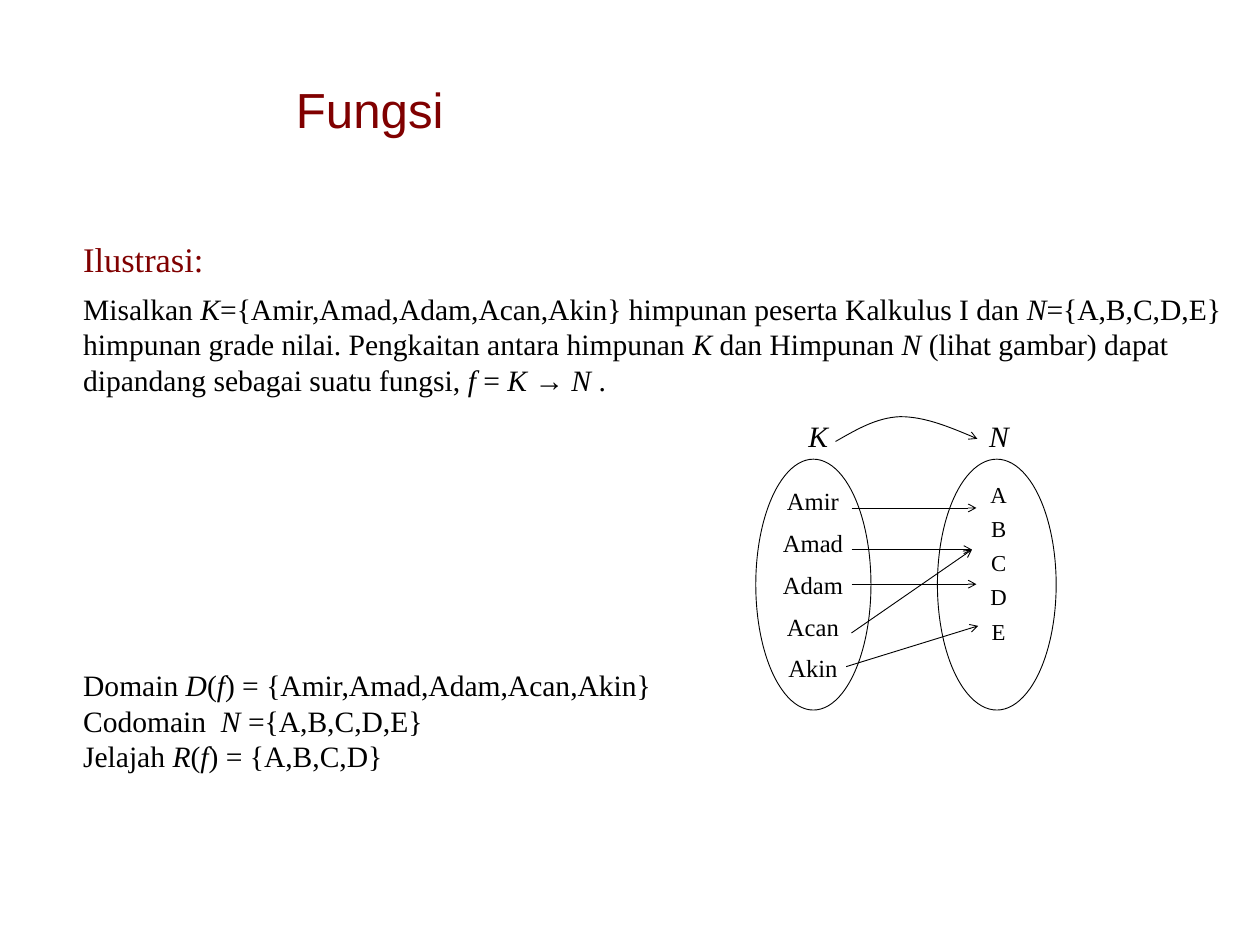
"""Build the slide "Fungsi": a function drawn as a mapping between two sets."""
from lxml.etree import SubElement
from pptx import Presentation
from pptx.dml.color import RGBColor
from pptx.enum.shapes import MSO_CONNECTOR as Connector, MSO_SHAPE as Shape
from pptx.enum.text import MSO_ANCHOR as Anchor, PP_ALIGN as Align
from pptx.oxml.ns import qn
from pptx.util import Inches, Pt

BLACK = RGBColor(0x00, 0x00, 0x00)
WHITE = RGBColor(0xFF, 0xFF, 0xFF)
MAROON = RGBColor(0x80, 0x00, 0x00)
SERIF = "Times New Roman"

# Text between asterisks is italic.
TITLE = "Fungsi"
HEADING = "Ilustrasi:"
PREMISE = (
    "Misalkan *K*={Amir,Amad,Adam,Acan,Akin} himpunan peserta Kalkulus I dan "
    "*N*={A,B,C,D,E} himpunan grade nilai. Pengkaitan antara himpunan *K* dan "
    "Himpunan *N* (lihat gambar) dapat dipandang sebagai suatu fungsi, "
    "*f* = *K* → *N* ."
)
RESULTS = [
    "Domain *D*(*f*) = {Amir,Amad,Adam,Acan,Akin}",
    "Codomain  *N *={A,B,C,D,E}",
    "Jelajah *R*(*f*) = {A,B,C,D}",
]
STUDENTS = ["Amir", "Amad", "Adam", "Acan", "Akin"]
GRADES = ["A", "B", "C", "D", "E"]
SET_OVALS = [(8.53, 5.18, 1.3, 2.83), (10.58, 5.18, 1.34, 2.83)]
SET_NAMES = [("*K*", 9.0), ("*N*", 11.04)]
MAPPINGS = [
    ((9.61, 5.73), (11.02, 5.73)),
    ((9.61, 6.2), (10.97, 6.2)),
    ((9.61, 6.59), (11.02, 6.59)),
    ((9.61, 7.14), (10.97, 6.2)),
    ((9.55, 7.52), (11.04, 7.06)),
]
ARC_START = (9.43, 4.98)
ARC_CONTROLS = [
    (9.66, 4.85), (9.89, 4.71), (10.16, 4.7),
    (10.42, 4.7), (10.73, 4.82), (11.03, 4.95),
]


def add_text(page, area, lines, size, font=SERIF, color=BLACK, align=Align.LEFT,
             inset=(0.1, 0.05), after=0, spacing=None, anchor=Anchor.TOP):
    box = page.shapes.add_textbox(*map(Inches, area))
    frame = box.text_frame
    frame.word_wrap = True
    frame.vertical_anchor = anchor
    frame.margin_left = frame.margin_right = Inches(inset[0])
    frame.margin_top = frame.margin_bottom = Inches(inset[1])
    for index, line in enumerate(lines):
        para = frame.add_paragraph() if index else frame.paragraphs[0]
        para.alignment = align
        para.space_after = Pt(after)
        para.line_spacing = spacing
        para.font.name = font
        para.font.size = Pt(size)
        para.font.color.rgb = color
        for part, words in enumerate(line.split("*")):
            if words:
                span = para.add_run()
                span.text = words
                if part % 2:
                    span.font.italic = True
    return frame


def style_line(shape, arrow=True):
    shape.line.color.rgb = BLACK
    shape.line.width = Pt(0.75)
    if arrow:
        SubElement(shape.line._get_or_add_ln(), qn("a:tailEnd"), type="arrow")


def add_arrow(page, start, end):
    arrow = page.shapes.add_connector(Connector.STRAIGHT, *map(Inches, start + end))
    style_line(arrow)
    SubElement(arrow._element.spPr, qn("a:effectLst"))


def add_arc(page):
    builder = page.shapes.build_freeform(*ARC_START, scale=Inches(1))
    builder = page.shapes.build_freeform(*map(Inches, ARC_START))
    builder.add_line_segments([tuple(map(Inches, point)) for point in ARC_CONTROLS],
                              close=False)
    arc = builder.convert_to_shape()
    arc.shadow.inherit = False
    arc.fill.background()
    style_line(arc)
    segments = list(arc._element.iter(qn("a:lnTo")))
    outline = segments[0].getparent()
    for first in range(0, len(segments), 3):
        curve = SubElement(outline, qn("a:cubicBezTo"))
        for segment in segments[first:first + 3]:
            curve.append(segment[0])
            outline.remove(segment)


def add_mapping_diagram(page):
    for area in SET_OVALS:
        oval = page.shapes.add_shape(Shape.OVAL, *map(Inches, area))
        oval.shadow.inherit = False
        oval.fill.solid()
        oval.fill.fore_color.rgb = WHITE
        style_line(oval, arrow=False)
    label = {"align": Align.CENTER, "inset": (0.01, 0.01)}
    add_text(page, (8.64, 5.47, 1.07, 2.31), STUDENTS, 20, after=10, **label)
    add_text(page, (11.02, 5.47, 0.5, 2.07), GRADES, 18.5, after=10, spacing=0.8, **label)
    for start, end in MAPPINGS:
        add_arrow(page, start, end)
    for name, left in SET_NAMES:
        add_text(page, (left, 4.7, 0.47, 0.47), [name], 24, **label)
    add_arc(page)


def main():
    deck = Presentation()
    deck.slide_width, deck.slide_height = Inches(14.22), Inches(10.66)
    page = deck.slides.add_slide(deck.slide_layouts[6])
    add_text(page, (3.28, 0.8, 2.25, 0.86), [TITLE], 40, font="Arial", color=MAROON,
             inset=(0.06, 0.06), anchor=Anchor.MIDDLE)
    intro = add_text(page, (0.84, 2.64, 13.36, 1.98), [HEADING, PREMISE], 24)
    heading = intro.paragraphs[0]
    heading.font.size = Pt(28)
    heading.font.color.rgb = MAROON
    heading.space_after = Pt(9)
    add_text(page, (0.84, 7.48, 6.68, 1.64), RESULTS, 24)
    add_mapping_diagram(page)
    deck.save("out.pptx")


if __name__ == "__main__":
    main()
